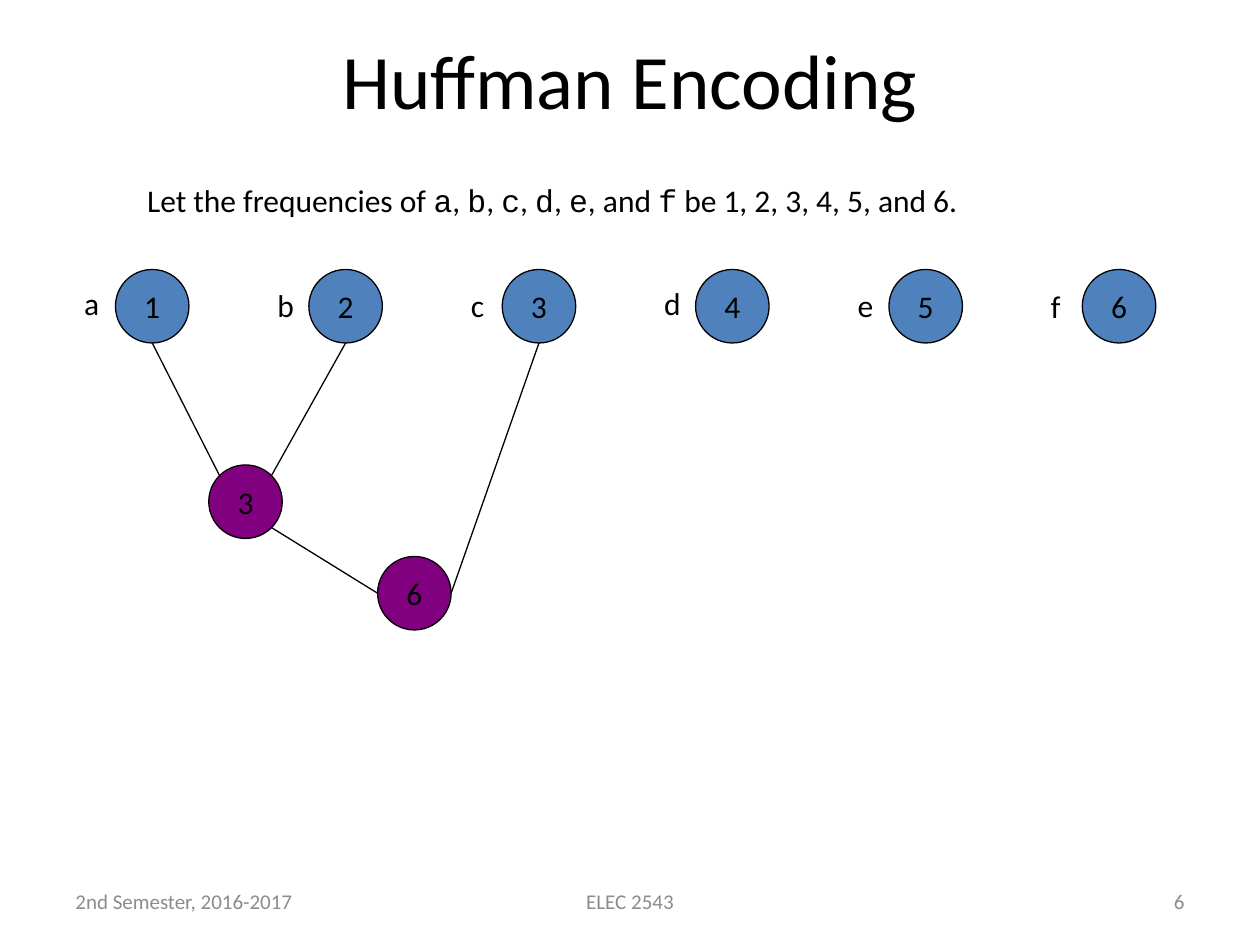
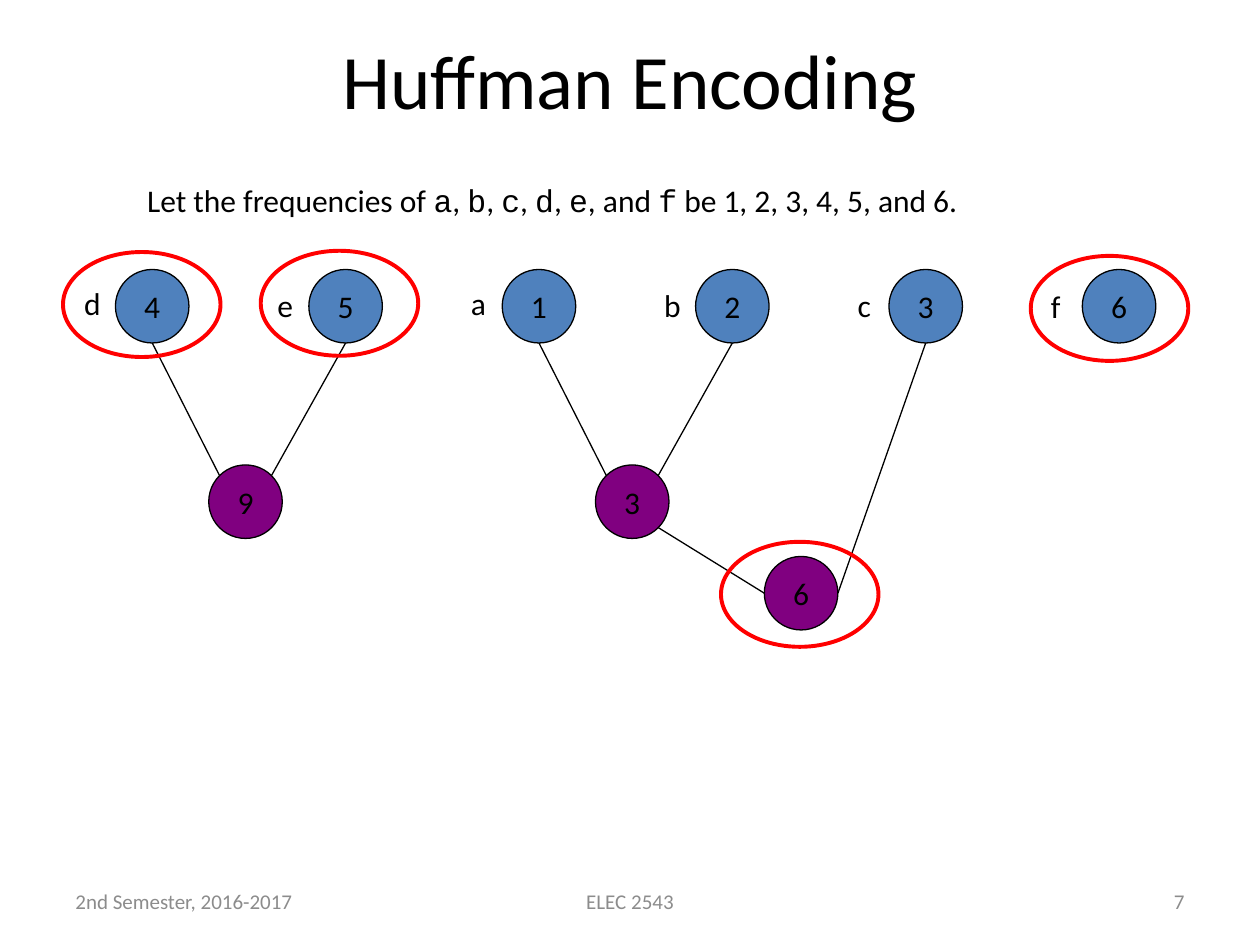
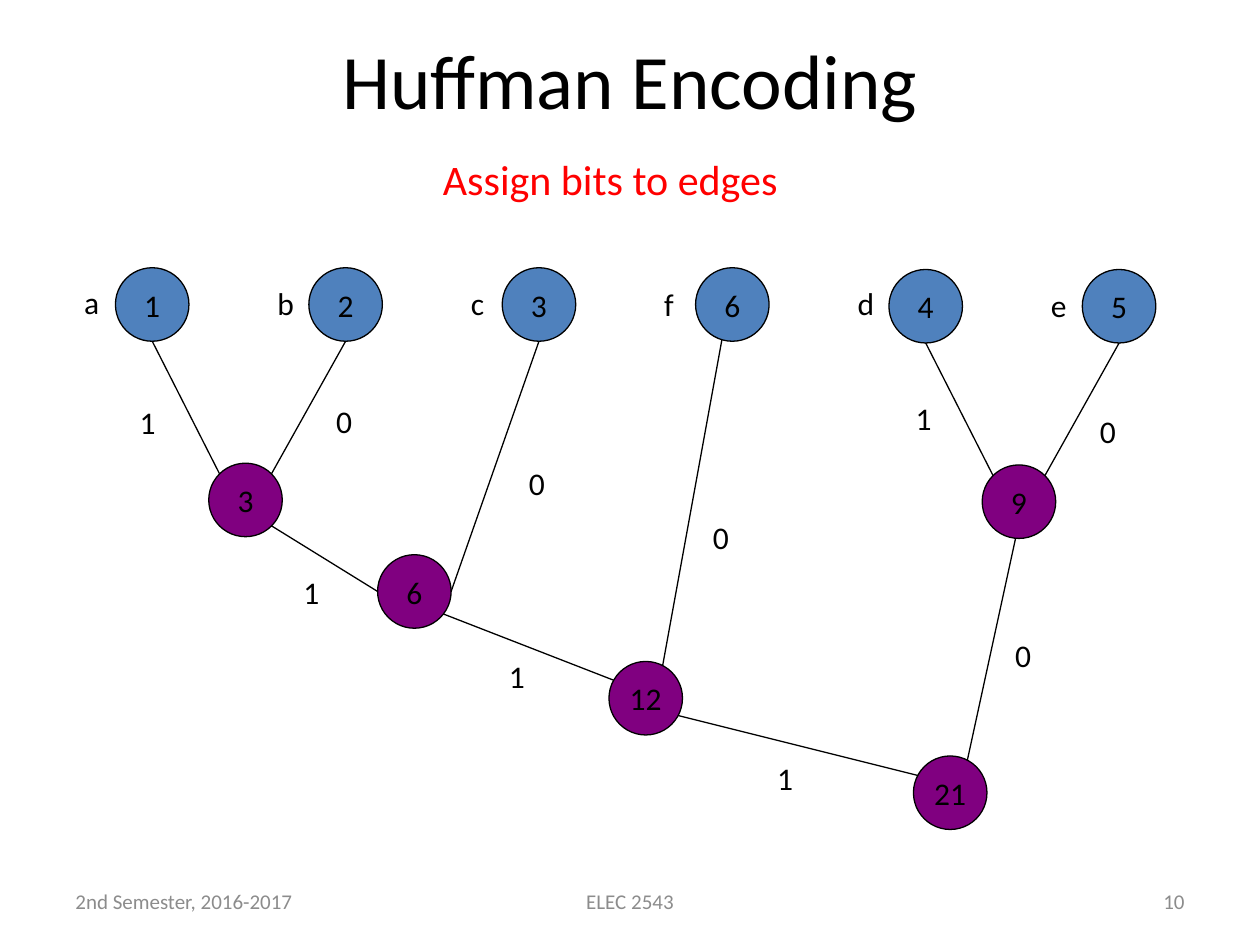
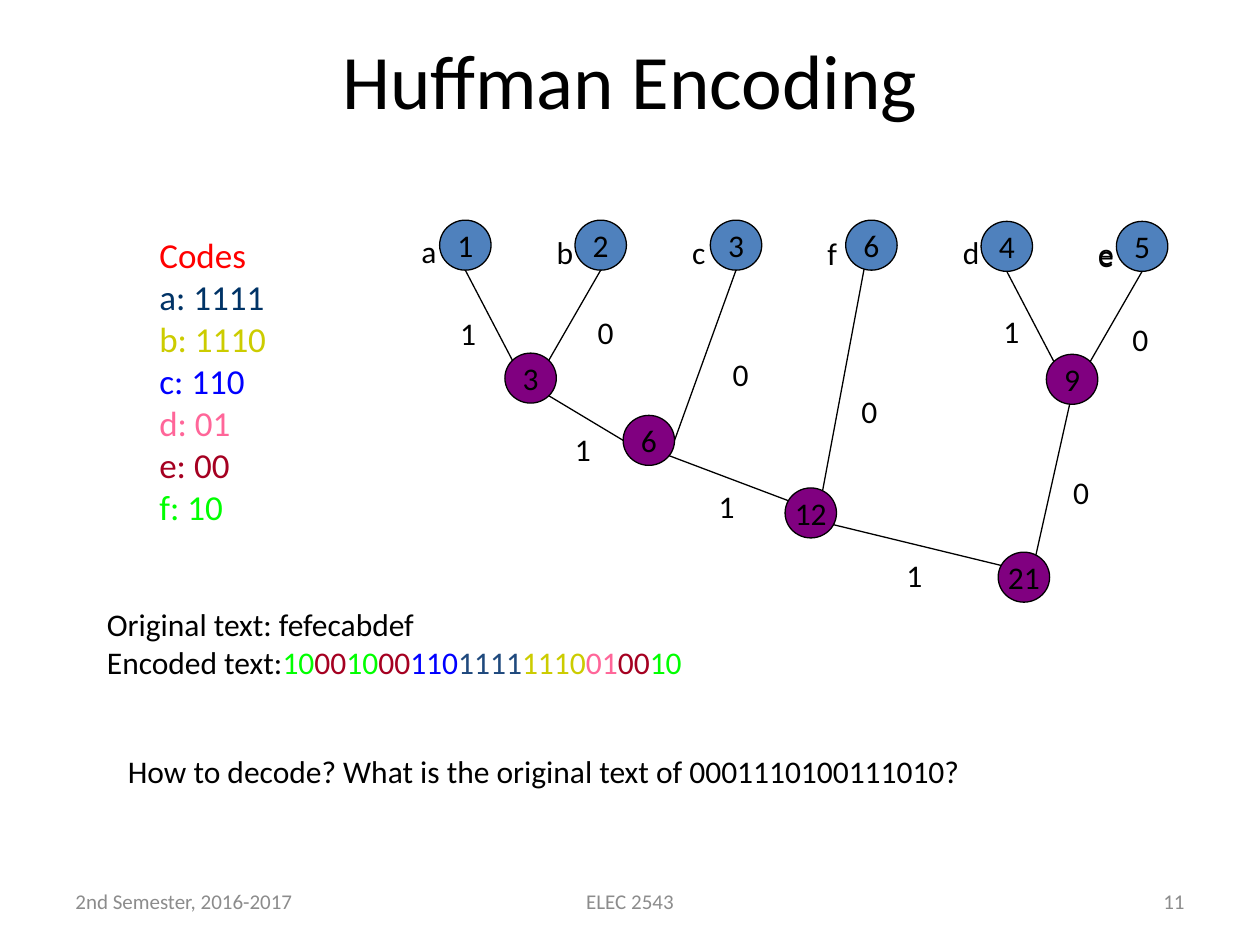
import lxml.etree
import pptx
import pptx.dml.color
import pptx.enum.shapes
import pptx.enum.text
import pptx.oxml.ns
import pptx.util

Pt = pptx.util.Pt
ALIGN = pptx.enum.text.PP_ALIGN
ANCHOR = pptx.enum.text.MSO_ANCHOR
AUTO = pptx.enum.text.MSO_AUTO_SIZE
OVAL = pptx.enum.shapes.MSO_SHAPE.OVAL
STRAIGHT = pptx.enum.shapes.MSO_CONNECTOR.STRAIGHT

COLORS = {
    "black": "000000", "grey": "8C8C8C", "red": "FF0000",
    "leaf": "4F81BD", "merged": "800080",
    "a": "003366", "b": "CCCC00", "c": "0000FF",
    "d": "FF6699", "e": "A50021", "f": "00FF00", "a bits": "1F497D",
}
CODES = {"a": "1111", "b": "1110", "c": "110", "d": "01", "e": "00", "f": "10"}

# Tree grid, in points
NODE = 42
LEFT, PITCH, TOP = 66, 110.5, 154
LABEL_DROP = {"a": 5, "b": 5.8, "c": 5.8, "d": 5, "e": 5.8, "f": 6.5}
SITES = {  # where edges touch a node, as shares of its size
    "bottom": (0.5, 1), "left": (0, 0.5), "right": (1, 0.5),
    "upper left": (0.15, 0.15), "upper right": (0.85, 0.15),
    "lower right": (0.85, 0.85),
}


def rgb(name):
    return pptx.dml.color.RGBColor.from_string(COLORS[name])


def add_text(p, text, size=18, color="black", font="Calibri", align=None):
    r = p.add_run()
    r.text = text
    r.font.size, r.font.name = Pt(size), font
    r.font.color.rgb = rgb(color)
    if align is not None:
        p.alignment = align


class Deck:
    def __init__(self):
        self.prs = pptx.Presentation()
        self.prs.slide_width, self.prs.slide_height = Pt(720), Pt(540)

    def slide(self, number, scale=(1, 1), shift=(0, 0)):
        """Start a slide; scale and shift apply to its tree."""
        self.s = self.prs.slides.add_slide(self.prs.slide_layouts[5])
        self.scale, self.shift = scale, shift
        sp = self.s.shapes.title
        sp.left, sp.top, sp.width, sp.height = Pt(36), Pt(0), Pt(648), Pt(90)
        tf = sp.text_frame
        tf.vertical_anchor = ANCHOR.MIDDLE
        add_text(tf.paragraphs[0], "Huffman Encoding", size=44, align=ALIGN.CENTER)
        for text, x, w, align in (("2nd Semester, 2016-2017", 36, 168, ALIGN.LEFT),
                                  ("ELEC 2543", 246, 228, ALIGN.CENTER),
                                  (str(number), 516, 168, ALIGN.RIGHT)):
            tf = self.s.shapes.add_textbox(Pt(x), Pt(500.4), Pt(w), Pt(28.8)).text_frame
            tf.word_wrap, tf.vertical_anchor = True, ANCHOR.MIDDLE
            add_text(tf.paragraphs[0], text, size=12, color="grey", align=align)

    def place(self, x, y):
        return (Pt(x * self.scale[0] + self.shift[0]),
                Pt(y * self.scale[1] + self.shift[1]))

    def text(self, x, y, w, h, *lines, **fmt):
        """Each line is a list of (text, own format) pairs."""
        tf = self.s.shapes.add_textbox(Pt(x), Pt(y), Pt(w), Pt(h)).text_frame
        tf.word_wrap, tf.auto_size = False, AUTO.SHAPE_TO_FIT_TEXT
        for i, line in enumerate(lines):
            p = tf.add_paragraph() if i else tf.paragraphs[0]
            for text, own in line:
                add_text(p, text, **{**fmt, **own})

    def label(self, text, x, y):
        left, top = self.place(x, y)
        self.text(left.pt, top.pt, 19.4 if text == "f" else 24.5, 28.8, [(text, {})])

    def oval(self, left, top, w, h, line, width, fill=None):
        sp = self.s.shapes.add_shape(OVAL, left, top, w, h)
        sp.shadow.inherit = False
        sp.line.color.rgb, sp.line.width = rgb(line), Pt(width)
        if fill:
            sp.fill.solid()
            sp.fill.fore_color.rgb = rgb(fill)
        else:
            sp.fill.background()
        return sp

    def node(self, text, x, y, fill="merged"):
        w, h = (Pt(NODE * k) for k in self.scale)
        tf = self.oval(*self.place(x, y), w, h, "black", 0.75, fill).text_frame
        tf.word_wrap, tf.vertical_anchor = False, ANCHOR.MIDDLE
        add_text(tf.paragraphs[0], text, align=ALIGN.CENTER)
        return x, y

    def leaf(self, letter, value, column, y=TOP):
        x = LEFT + PITCH * column
        self.label(letter, x - 25, y + LABEL_DROP[letter])
        return self.node(str(value), x, y, "leaf")

    def ring(self, x, y):
        self.oval(Pt(x), Pt(y), Pt(90), Pt(60), "red", 2.25)

    def edge(self, start, end):
        cn = self.s.shapes.add_connector(STRAIGHT, *self.place(*start), *self.place(*end))
        cn.line.color.rgb, cn.line.width = rgb("black"), Pt(0.75)
        spPr = cn._element.find(pptx.oxml.ns.qn("p:spPr"))
        lxml.etree.SubElement(spPr, pptx.oxml.ns.qn("a:effectLst"))

    def join(self, node, site, other, other_site):
        ends = [(x + NODE * SITES[k][0], y + NODE * SITES[k][1])
                for (x, y), k in ((node, site), (other, other_site))]
        self.edge(*ends)

    # Subtrees
    def pair(self, leaves, column, y=TOP):
        """Two neighbouring leaves merged into one node."""
        (k1, v1), (k2, v2) = leaves
        first = self.leaf(k1, v1, column, y)
        second = self.leaf(k2, v2, column + 1, y)
        merged = self.node(str(v1 + v2), first[0] + 53.3, y + 111.7)
        self.join(first, "bottom", merged, "upper left")
        self.join(second, "bottom", merged, "upper right")
        return merged

    def trio(self, column, y=TOP):
        """a and b merged, then merged with c."""
        merged = self.pair((("a", 1), ("b", 2)), column, y)
        c = self.leaf("c", 3, column + 2, y)
        six = self.node("6", merged[0] + 96.5, y + 164)
        self.join(merged, "lower right", six, "left")
        self.join(c, "bottom", six, "right")

    def full_tree(self):
        for start, end in (((552, 438), (582, 300)), ((528, 444), (384, 408)),
                           ((354, 390), (246, 348)), ((378, 384), (414, 186))):
            self.edge(start, end)
        self.node("12", 348, 378)
        self.pair((("d", 4), ("e", 5)), 4)
        self.leaf("f", 6, 3, TOP - 1)
        self.trio(0, TOP - 1)
        self.node("21", 522, 432)
        bits = {
            "1": ((437, 430), (283.7, 372), (166.3, 324), (72.7, 226.8), (516.2, 224.6)),
            "0": ((573, 360), (400.3, 292.3), (295.2, 261.4), (185, 226), (621.4, 231.8)),
        }
        for bit, spots in bits.items():
            for x, y in spots:
                self.label(bit, x, y)

    def frequencies(self):
        mono = {"font": "Courier New"}
        line = [("Let the frequencies of ", {})]
        for letter in "abcde":
            line += [(letter, mono), (", and " if letter == "e" else ", ", {})]
        line += [("f", mono), (" be 1, 2, 3, 4, 5, and 6.", {})]
        self.text(77, 100, 484, 28.8, line)


def main():
    deck = Deck()

    # a, b and c merged
    deck.slide(6)
    deck.frequencies()
    deck.trio(0)
    for column, letter in enumerate("def", 3):
        deck.leaf(letter, column + 1, column)

    # d and e merged, candidates ringed
    deck.slide(7)
    deck.frequencies()
    deck.pair((("d", 4), ("e", 5)), 0)
    deck.trio(2)
    deck.leaf("f", 6, 5)
    for x, y in ((36, 144), (149, 143.3), (412, 309.6), (589, 146.2)):
        deck.ring(x, y)

    # Whole tree with bits
    deck.slide(10)
    deck.text(246, 84, 229.7, 36, [("Assign bits to edges", {})], size=24, color="red")
    deck.full_tree()

    # Smaller tree, codes and encoded text
    deck.slide(11, scale=(0.7, 0.68), shift=(205, 21.8))
    deck.full_tree()
    deck.label("e", 593.5, 161)
    codes = [[(f"{k}: {code}", {"color": k})] for k, code in CODES.items()]
    deck.text(84, 130, 81.4, 199.4, [("Codes", {"color": "red"})], *codes, size=20)
    message = "fefecabdef"
    encoded = [(CODES[k], {"color": "a bits" if k == "a" else k}) for k in message]
    deck.text(54, 342, 346.3, 51, [(f"Original text: {message}", {})],
              [("Encoded text:", {})] + encoded)
    deck.text(66, 426, 531.4, 28.8,
              [("How to decode? What is the original text of 0001110100111010?", {})])

    deck.prs.save("out.pptx")


if __name__ == "__main__":
    main()
